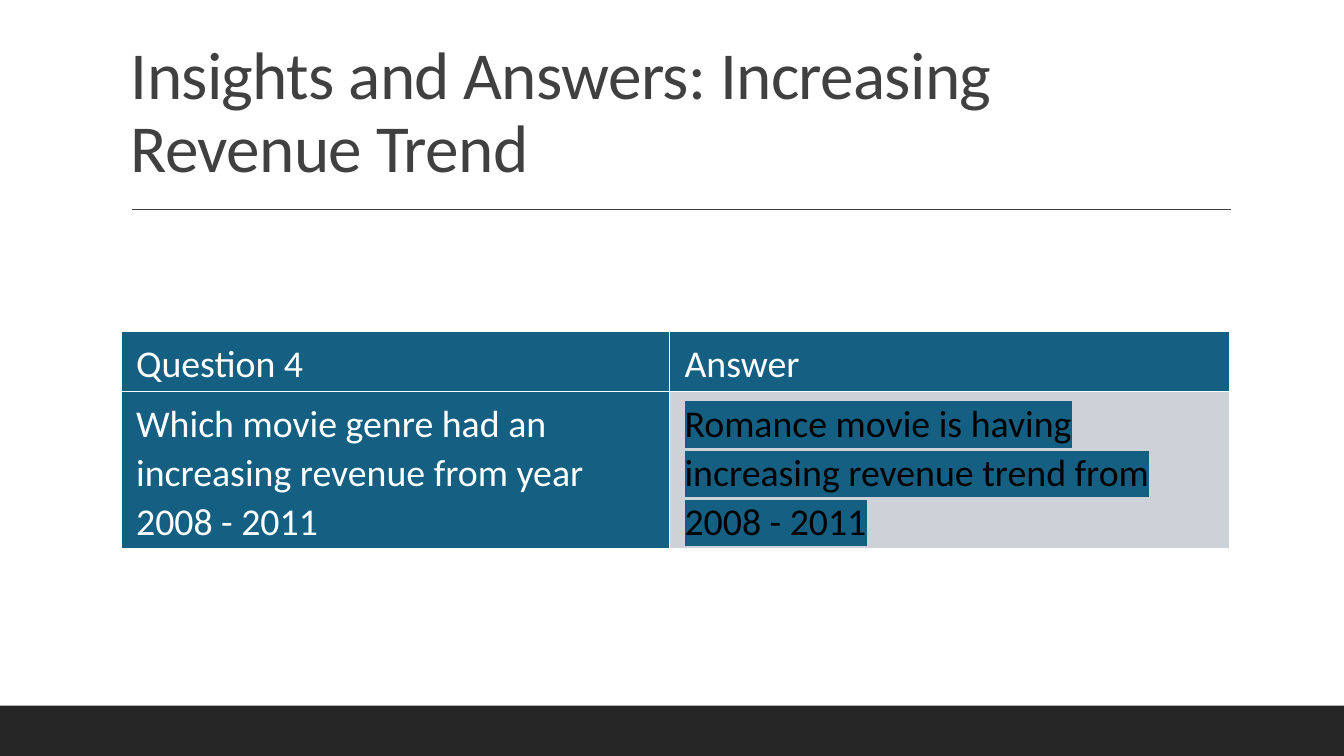
from lxml.etree import SubElement
from pptx import Presentation
from pptx.dml.color import RGBColor
from pptx.enum.shapes import MSO_CONNECTOR, MSO_SHAPE
from pptx.enum.text import MSO_ANCHOR
from pptx.oxml.ns import qn
from pptx.util import Emu, Pt

PX_PER_INCH = 100
FONT = "Calibri"
COLORS = {
    "white": "FFFFFF",
    "title": "404040",
    "footer": "262626",
    "blue": "156082",
    "pale": "CCD2D8",
    "black": "000000",
}
ROWS = [
    [("Question 4", "blue", "white"), ("Answer", "blue", "white")],
    [
        ("Which movie genre had an increasing revenue from year 2008 - 2011", "blue", "white"),
        ("Romance movie is having increasing revenue trend from 2008 - 2011", "pale", "black"),
    ],
]
COLUMN_WIDTHS = [544, 556]
ROW_HEIGHTS = [59, 156]


def px(length):
    return Emu(length * 914400 // PX_PER_INCH)


def rgb(name):
    return RGBColor.from_string(COLORS[name])


def add_color(parent, tag, name):
    SubElement(SubElement(parent, qn(tag)), qn("a:srgbClr"), val=COLORS[name])


def write_text(paragraph, text, size, color, spacing):
    run = paragraph.add_run()
    run.text = text
    paragraph.line_spacing = spacing
    font = paragraph.font
    font.name = FONT
    font.size = Pt(size)
    font.bold = False
    font.color.rgb = rgb(color)
    return run


def add_title(slide, text, left, top, width, height):
    shape = slide.shapes.add_textbox(px(left), px(top), px(width), px(height))
    frame = shape.text_frame
    frame.word_wrap = True
    frame.vertical_anchor = MSO_ANCHOR.BOTTOM
    run = write_text(frame.paragraphs[0], text, 48, "title", 0.9)
    run.font._element.set("spc", "-50")


def add_rule(slide, left, right, y):
    line = slide.shapes.add_connector(MSO_CONNECTOR.STRAIGHT, px(left), px(y), px(right), px(y))
    line.line.color.rgb = rgb("title")
    line.line.width = Pt(1)
    SubElement(line._element.spPr, qn("a:effectLst"))


def add_bar(slide, left, top, width, height, color):
    shape = slide.shapes.add_shape(MSO_SHAPE.RECTANGLE, px(left), px(top), px(width), px(height))
    shape.shadow.inherit = False
    shape.fill.solid()
    shape.fill.fore_color.rgb = rgb(color)
    shape.line.fill.background()


def style_cell(cell, text, fill, color):
    cell.margin_left, cell.margin_top = px(15), px(7)
    cell.margin_right, cell.margin_bottom = px(14), px(0)
    run = write_text(cell.text_frame.paragraphs[0], text, 27, color, 1.07)
    add_color(run.font._element, "a:highlight", "blue")
    properties = cell._tc.get_or_add_tcPr()
    for side in "LRTB":
        border = SubElement(properties, qn(f"a:ln{side}"), w=str(Pt(1)))
        add_color(border, "a:solidFill", "white")
    cell.fill.solid()
    cell.fill.fore_color.rgb = rgb(fill)


def add_answer_table(slide, left, top):
    frame = slide.shapes.add_table(
        len(ROW_HEIGHTS), len(COLUMN_WIDTHS), px(left), px(top),
        px(sum(COLUMN_WIDTHS)), px(sum(ROW_HEIGHTS)),
    )
    table = frame.table
    table.first_row = False
    table.horz_banding = False
    for column, width in zip(table.columns, COLUMN_WIDTHS):
        column.width = px(width)
    for row, height, contents in zip(table.rows, ROW_HEIGHTS, ROWS):
        row.height = px(height)
        for cell, content in zip(row.cells, contents):
            style_cell(cell, *content)


def main():
    presentation = Presentation()
    presentation.slide_width = px(1333)
    presentation.slide_height = px(750)
    slide = presentation.slides.add_slide(presentation.slide_layouts[6])
    add_title(slide, "Insights and Answers: Increasing Revenue Trend", 120, 31, 1100, 159)
    add_rule(slide, 131, 1221, 208)
    add_bar(slide, 0, 700, 1333, 50, "footer")
    add_answer_table(slide, 120, 329)
    presentation.save("out.pptx")


if __name__ == "__main__":
    main()
